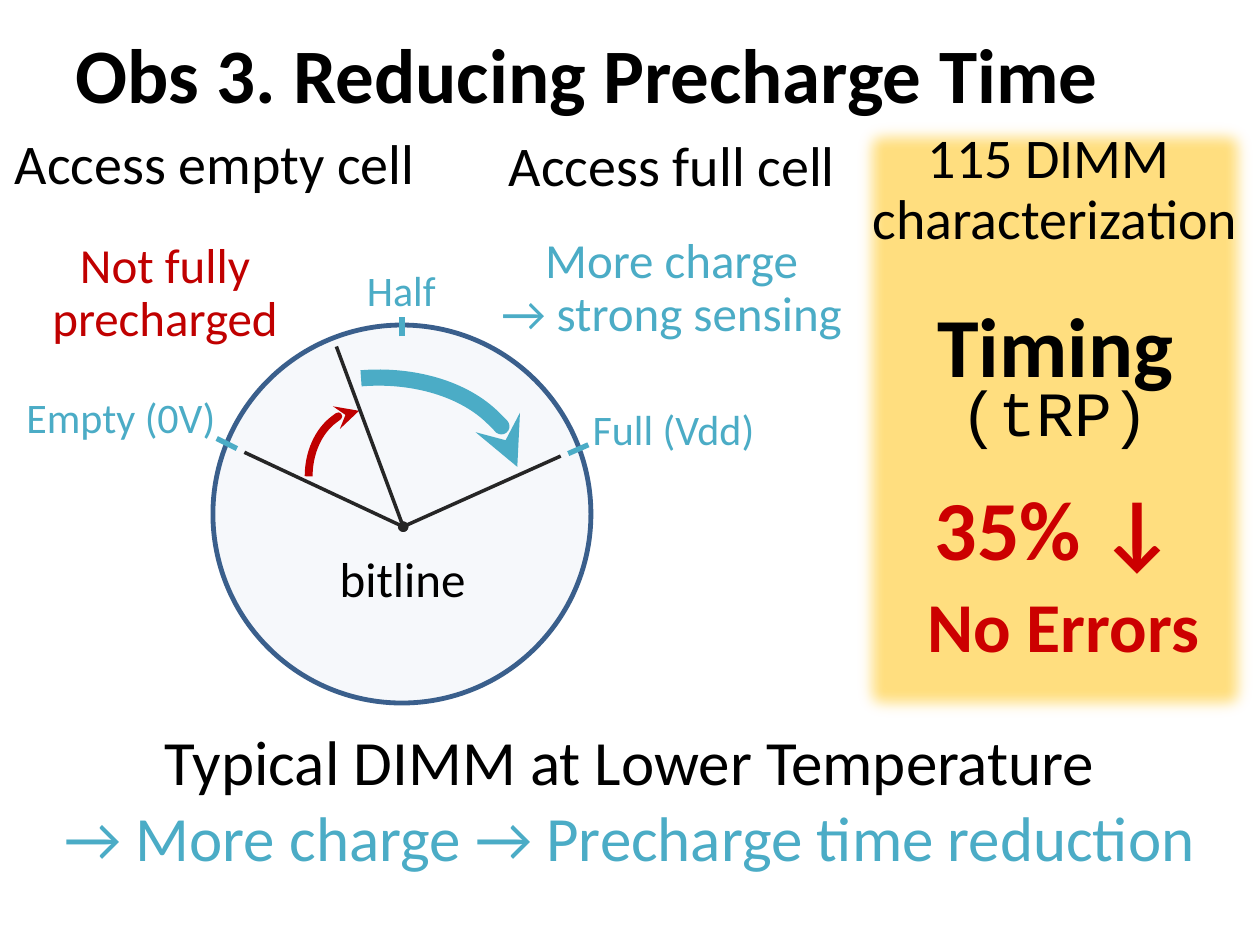
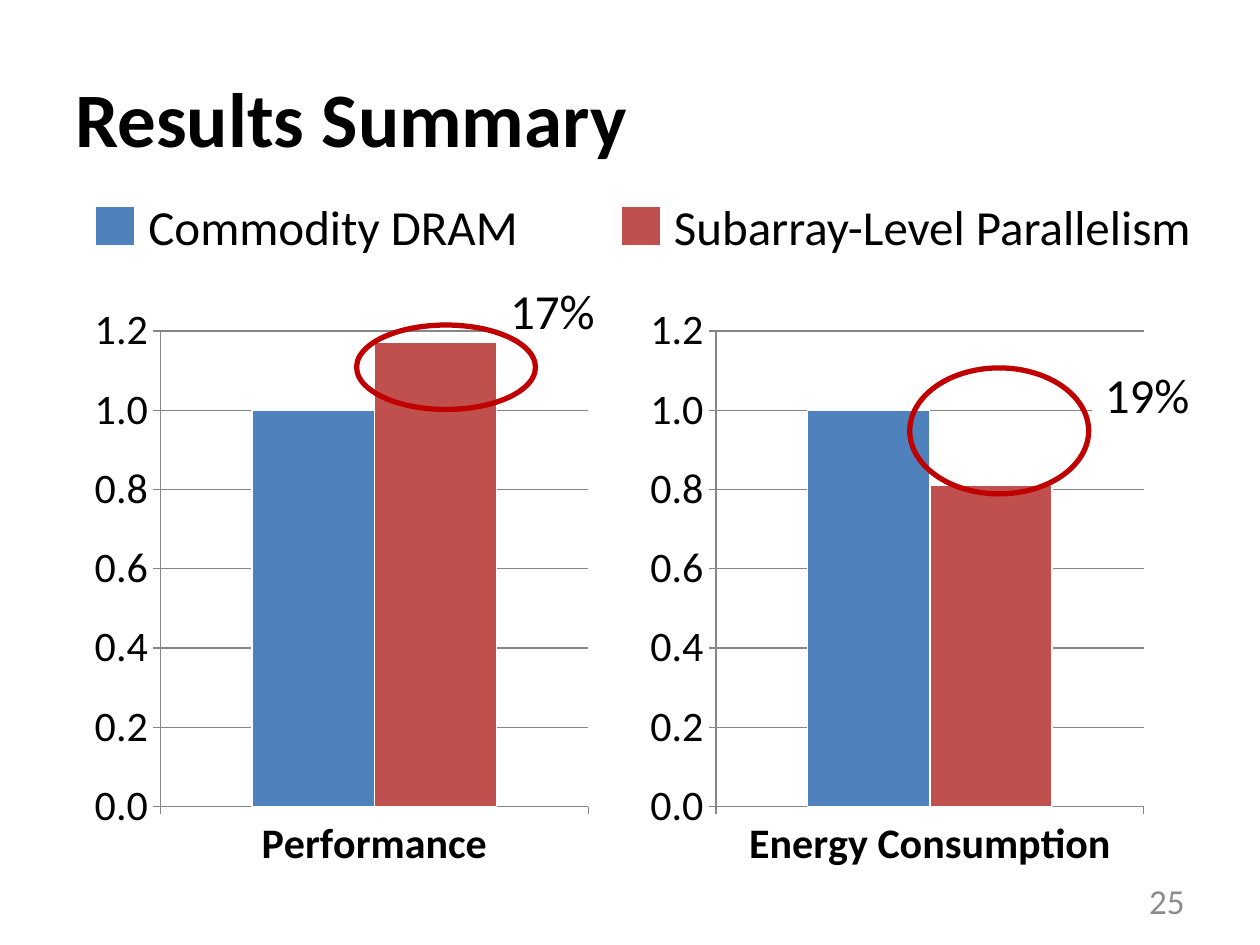
import pptx
import pptx.chart.data
import pptx.dml.color
import pptx.enum.chart
import pptx.enum.shapes
import pptx.enum.text
import pptx.oxml
import pptx.oxml.ns
import pptx.util

RGBColor = pptx.dml.color.RGBColor
SHAPE = pptx.enum.shapes.MSO_SHAPE
ANCHOR = pptx.enum.text.MSO_ANCHOR
ALIGN = pptx.enum.text.PP_ALIGN
CHART = pptx.enum.chart

# Shared look: 100 px to the inch
EMU_PER_PX = 9144
FONT = "Calibri"
CODE_FONT = "Courier New"
BLACK = RGBColor(0x00, 0x00, 0x00)
WHITE = RGBColor(0xFF, 0xFF, 0xFF)
GREY = RGBColor(0x8C, 0x8C, 0x8C)
AXIS_GREY = RGBColor(0x86, 0x86, 0x86)
HAND_GREY = RGBColor(0x26, 0x26, 0x26)
TEAL = RGBColor(0x4B, 0xAC, 0xC6)
DARK_RED = RGBColor(0xC0, 0x00, 0x00)
BRIGHT_RED = RGBColor(0xCC, 0x00, 0x00)
DIAL_FILL = RGBColor(0xDC, 0xE6, 0xF2)
DIAL_LINE = RGBColor(0x3A, 0x5F, 0x8C)
AMBER = RGBColor(0xFF, 0xC0, 0x00)
BLUE = RGBColor(0x4F, 0x81, 0xBD)
RED = RGBColor(0xC0, 0x50, 0x4D)
SERIES_COLORS = (BLUE, RED)


def px(*lengths):
    return [pptx.util.Emu(length * EMU_PER_PX) for length in lengths]


def add_xml(parent, tag, **attributes):
    child = pptx.oxml.parse_xml(f"<a:{tag} {pptx.oxml.ns.nsdecls('a')}/>")
    for name, value in attributes.items():
        child.set(name, str(value))
    parent.append(child)
    return child


def write(text_frame, text, size=28, color=BLACK, font=FONT, bold=False,
          align=ALIGN.CENTER, spacing=None, before=0):
    """Add one paragraph for each line of text."""
    for line in text.split("\n"):
        paragraph = text_frame.paragraphs[0]
        if paragraph.runs:
            paragraph = text_frame.add_paragraph()
        paragraph.alignment = align
        paragraph.space_before = pptx.util.Pt(before)
        if spacing:
            paragraph.line_spacing = spacing
        run = paragraph.add_run()
        run.text = line
        run.font.name = font
        run.font.size = pptx.util.Pt(size)
        run.font.bold = bold
        run.font.color.rgb = color


def add_label(slide, box, text, anchor=ANCHOR.MIDDLE, wrap=True, fill=None,
              **text_format):
    shape = slide.shapes.add_textbox(*px(*box))
    text_frame = shape.text_frame
    text_frame.word_wrap = wrap
    text_frame.vertical_anchor = anchor
    if not wrap:
        text_frame.auto_size = pptx.enum.text.MSO_AUTO_SIZE.SHAPE_TO_FIT_TEXT
    if fill is not None:
        shape.fill.solid()
        shape.fill.fore_color.rgb = fill
    write(text_frame, text, **text_format)
    return shape


def add_title(slide, box, text, **text_format):
    add_label(slide, box, text, size=44, bold=True, align=ALIGN.LEFT,
              **text_format)


def set_line(line, color, width, tail=None):
    line.color.rgb = color
    line.width = pptx.util.Pt(width)
    if tail:
        add_xml(line.fill._xPr, "tailEnd", type=tail)


def add_preset(slide, preset, box, fill=None, opacity=None, line=None,
               width=1, rotation=0, tail=None):
    shape = slide.shapes.add_shape(preset, *px(*box))
    shape.shadow.inherit = False
    shape.rotation = rotation
    if fill is None:
        shape.fill.background()
    else:
        shape.fill.solid()
        shape.fill.fore_color.rgb = fill
    if opacity:
        color = shape.fill._xPr.find(".//" + pptx.oxml.ns.qn("a:srgbClr"))
        add_xml(color, "alpha", val=opacity * 1000)
    if line is None:
        shape.line.fill.background()
    else:
        set_line(shape.line, line, width, tail)
    return shape


def add_line(slide, start, end, color, width, tail=None):
    connector = slide.shapes.add_connector(
        pptx.enum.shapes.MSO_CONNECTOR.STRAIGHT, *px(*start, *end))
    set_line(connector.line, color, width, tail)
    add_xml(connector._element.spPr, "effectLst")


def add_column_chart(slide, box, category, values):
    data = pptx.chart.data.CategoryChartData()
    data.categories = [category]
    for number, value in enumerate(values, 1):
        data.add_series(f"Series {number}", [value])
    chart = slide.shapes.add_chart(
        CHART.XL_CHART_TYPE.COLUMN_CLUSTERED, *px(*box), data).chart
    chart.has_legend = False
    chart.has_title = False
    chart.font.name = FONT
    chart.font.size = pptx.util.Pt(10)
    chart.font.color.rgb = BLACK

    plot = chart.plots[0]
    plot.gap_width = 150
    plot.overlap = 0
    plot.vary_by_categories = False
    for series, color in zip(plot.series, SERIES_COLORS):
        series.format.fill.solid()
        series.format.fill.fore_color.rgb = color
        set_line(series.format.line, WHITE, 0.75)

    for axis in (chart.category_axis, chart.value_axis):
        axis.tick_labels.font.size = pptx.util.Pt(24)
        axis.major_tick_mark = CHART.XL_TICK_MARK.OUTSIDE
        axis.minor_tick_mark = CHART.XL_TICK_MARK.NONE
        set_line(axis.format.line, AXIS_GREY, 0.75)
    chart.category_axis.tick_labels.font.bold = True
    value_axis = chart.value_axis
    value_axis.minimum_scale = 0
    value_axis.maximum_scale = 1.2
    value_axis.major_unit = 0.2
    value_axis.tick_labels.number_format = "0.0"
    value_axis.tick_labels.number_format_is_linked = False
    value_axis.has_major_gridlines = True
    set_line(value_axis.major_gridlines.format.line, AXIS_GREY, 0.75)


def add_dial(slide):
    # Face, tick marks and scale labels
    add_preset(slide, SHAPE.OVAL, (169, 258, 300, 300), fill=DIAL_FILL,
               opacity=25, line=DIAL_LINE, width=2.75)
    for start, end in (((172, 348), (188, 356)),
                       ((451, 360), (467, 353)),
                       ((319, 267), (319, 252))):
        add_line(slide, start, end, TEAL, 3)
    for box, text in (((11, 306, 170, 49), "Empty (0V)"),
                      ((460, 316, 149, 49), "Full (Vdd)"),
                      ((244, 205, 149, 49), "Half")):
        add_label(slide, box, text, size=24, color=TEAL)

    # Hands and the arrows that sweep between them
    add_preset(slide, SHAPE.ARC, (233, 338, 104, 80), line=DARK_RED,
               width=4.5, rotation=270, tail="stealth")
    add_label(slide, (245, 434, 149, 49), "bitline")
    pivot = (320, 418)
    for tip, tail in (((267, 275), None), ((445, 362), "oval"),
                      ((194, 359), "oval")):
        add_line(slide, tip, pivot, HAND_GREY, 2, tail)
    add_preset(slide, SHAPE.ARC, (175, 300, 236, 160), line=TEAL,
               width=9.25, rotation=355.4, tail="stealth")


def add_timing_panel(slide):
    panel = add_preset(slide, SHAPE.RECTANGLE, (675, 92, 325, 483),
                       fill=AMBER, opacity=50)
    effects = panel._element.spPr.find(pptx.oxml.ns.qn("a:effectLst"))
    add_xml(effects, "softEdge", rad=127000)
    text_frame = panel.text_frame
    text_frame.word_wrap = True
    text_frame.vertical_anchor = ANCHOR.TOP
    text_frame.margin_top = px(141)[0]
    write(text_frame, "Timing", size=48, bold=True)
    write(text_frame, "(tRP)", size=36, font=CODE_FONT, spacing=0.7)
    write(text_frame, "35% ↓", size=48, color=BRIGHT_RED, bold=True, before=17)
    write(text_frame, " No Errors", size=40, color=BRIGHT_RED, bold=True,
          spacing=0.9, before=8)
    add_label(slide, (675, 92, 325, 117), "115 DIMM \ncharacterization",
              size=32, spacing=pptx.util.Pt(35))


def build_precharge_slide(slide):
    add_dial(slide)

    # Remarks and column headings
    tight = pptx.util.Pt(30)
    add_label(slide, (8, 175, 246, 116), "Not fully precharged",
              color=DARK_RED, spacing=tight)
    add_label(slide, (383, 169, 300, 120), "More charge\n→ strong sensing",
              color=TEAL, spacing=tight)
    add_label(slide, (-25, 83, 391, 92), "Access empty cell", size=32)
    add_label(slide, (375, 67, 317, 126), "Access full cell", size=32)

    add_timing_panel(slide)

    # Conclusion and title
    conclusion = add_label(slide, (0, 575, 1000, 117),
                           "Typical DIMM at Lower Temperature", size=36)
    write(conclusion.text_frame, "→ More charge → Precharge time reduction",
          size=36, color=TEAL)
    add_title(slide, (50, 17, 975, 83), "Obs 3. Reducing Precharge Time",
              anchor=ANCHOR.BOTTOM, spacing=0.9)


def build_results_slide(slide):
    add_title(slide, (50, 30, 900, 125), "Results Summary")
    add_label(slide, (717, 695, 233, 40), "25", size=20, color=GREY,
              align=ALIGN.RIGHT)

    # Charts
    for left, category, values in ((67, "Performance", (1, 1.17)),
                                   (508, "Energy Consumption", (1, 0.81))):
        add_column_chart(slide, (left, 233, 408, 467), category, values)

    # Legend shared by both charts
    plain = dict(anchor=ANCHOR.TOP, wrap=False, align=ALIGN.LEFT)
    for left, width, name, color in (
            (75, 317, "Commodity DRAM", BLUE),
            (492, 435, "Subarray-Level Parallelism", RED)):
        add_preset(slide, SHAPE.RECTANGLE, (left, 163, 33, 33), fill=color,
                   line=WHITE, width=2)
        add_label(slide, (left + 33, 151, width, 57), name, **plain)

    # Circled differences
    for left, top, text, ring in (
            (395, 218, "17%", (283, 258, 142, 67)),
            (867, 284, "19%", (722, 292, 142, 100))):
        add_label(slide, (left, top, 88, 57), text, fill=WHITE, **plain)
        add_preset(slide, SHAPE.OVAL, ring, line=DARK_RED, width=3)


def main():
    presentation = pptx.Presentation()
    presentation.slide_width, presentation.slide_height = px(1000, 750)
    blank_layout = presentation.slide_layouts[6]
    for build in (build_precharge_slide, build_results_slide):
        build(presentation.slides.add_slide(blank_layout))
    presentation.save("out.pptx")


if __name__ == "__main__":
    main()
